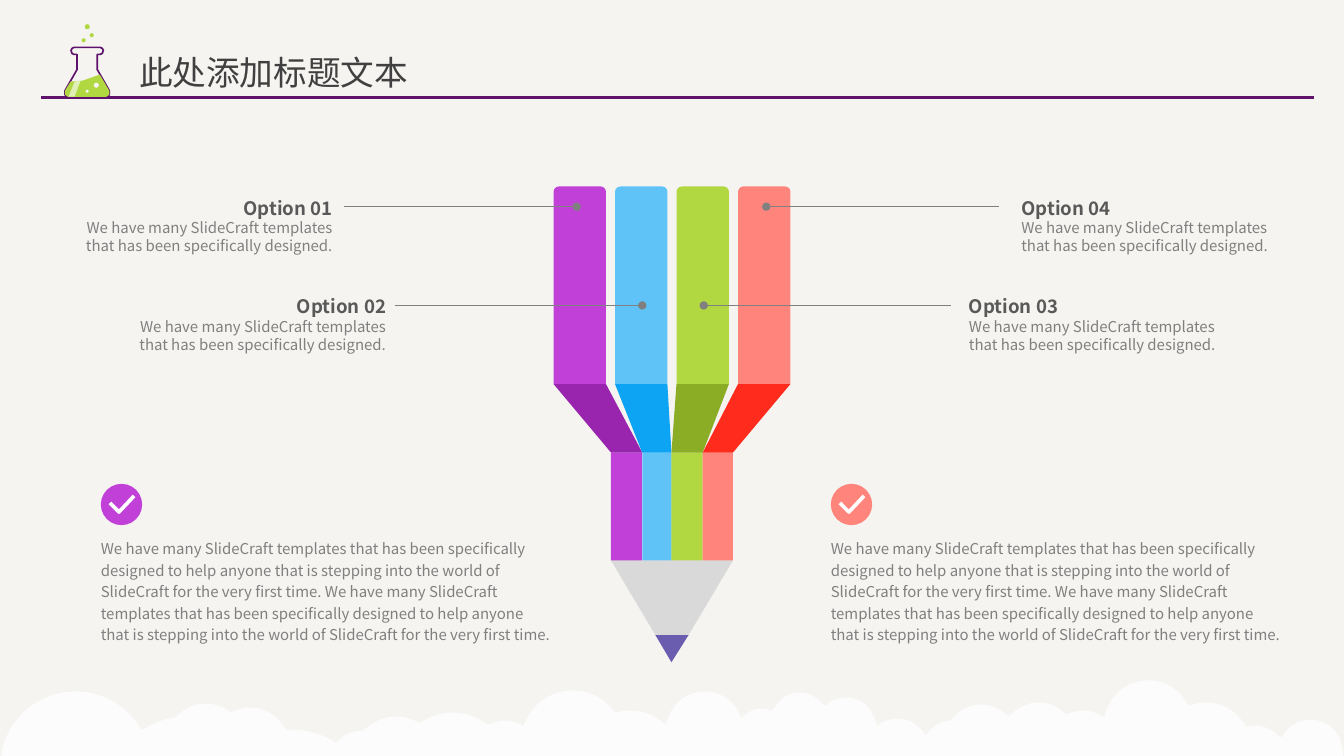
from dataclasses import dataclass
from math import sqrt
from typing import Any, Optional

from lxml import etree
from pptx import Presentation
from pptx.dml.color import RGBColor
from pptx.enum.shapes import MSO_CONNECTOR, MSO_SHAPE
from pptx.enum.text import MSO_ANCHOR, MSO_AUTO_SIZE, PP_ALIGN
from pptx.oxml.ns import qn
from pptx.util import Pt

STRAIGHT = MSO_CONNECTOR.STRAIGHT
OVAL, STRIP = MSO_SHAPE.OVAL, MSO_SHAPE.ROUND_2_SAME_RECTANGLE
LEFT, RIGHT = PP_ALIGN.LEFT, PP_ALIGN.RIGHT
TOP, MIDDLE = MSO_ANCHOR.TOP, MSO_ANCHOR.MIDDLE
NO_AUTOSIZE = MSO_AUTO_SIZE.NONE

PX = 9144  # EMU in one px, 100 px to the inch
WIDTH, HEIGHT = 1333, 750
FONT = "Noto Sans CJK SC"
PAPER, WHITE, PLUM, GREY = "F5F4F1", "FFFFFF", "5E126B", "808080"
PURPLE, BLUE, GREEN, CORAL = "C140D8", "5FC3F8", "B1D741", "FF847B"

OPTION_TEXT = "We have many SlideCraft templates that has been specifically designed."
SENTENCE = ("We have many SlideCraft templates that has been specifically designed to help "
            "anyone that is stepping into the world of SlideCraft for the very first time.")


@dataclass
class Colouring:
    main: str
    dark: str


@dataclass
class Option:
    title: str
    left: int
    top: int
    align: Any
    line_left: int
    line_right: int
    dot: str


@dataclass
class Note:
    left: int
    colour: str


@dataclass
class Bubble:
    left: int
    top: int
    size: int
    colour: str


@dataclass
class Puff:
    middle: int
    top: int
    radius: int


PENCIL = [Colouring(PURPLE, "9924AE"), Colouring(BLUE, "0DA4F4"),
          Colouring(GREEN, "8BAD25"), Colouring(CORAL, "FF2C1D")]
OPTIONS = [Option("Option 01", 68, 195, RIGHT, 341, 572, "tailEnd"),
           Option("Option 02", 121, 293, RIGHT, 392, 637, "tailEnd"),
           Option("Option 04", 1013, 195, LEFT, 760, 991, "headEnd"),
           Option("Option 03", 961, 293, LEFT, 698, 943, "headEnd")]
NOTES = [Note(100, PURPLE), Note(824, CORAL)]
BUBBLES = [Bubble(85, 89, 3, PAPER), Bubble(93, 82, 5, PAPER), Bubble(81, 38, 4, GREEN),
           Bubble(89, 33, 4, GREEN), Bubble(84, 24, 5, GREEN)]
PUFFS = [Puff(75, 686, 75), Puff(185, 711, 80), Puff(204, 698, 39), Puff(248, 702, 39),
         Puff(290, 724, 78), Puff(359, 725, 34), Puff(393, 711, 44), Puff(449, 707, 56),
         Puff(501, 715, 35), Puff(568, 685, 51), Puff(625, 705, 51), Puff(699, 686, 38),
         Puff(755, 703, 23), Puff(793, 687, 28), Puff(839, 692, 30), Puff(890, 713, 32),
         Puff(943, 715, 27), Puff(973, 699, 36), Puff(1030, 697, 37), Puff(1074, 705, 36),
         Puff(1139, 675, 44), Puff(1196, 697, 45), Puff(1245, 720, 31), Puff(1300, 714, 32)]

# Flask: half widths from its axis, downwards
FLASK_AXIS = 86.5
NECK = [(13, 47), (15, 48), (16, 50), (15, 53), (13, 54), (10, 54), (10, 69)]
BASE = [(22, 90), (22, 94), (19, 96)]


def rgb(colour: str) -> RGBColor:
    return RGBColor.from_string(colour)


def paint(shape: Any, colour: str) -> Any:
    shape.shadow.inherit = False
    shape.fill.solid()
    shape.fill.fore_color.rgb = rgb(colour)
    shape.line.fill.background()
    return shape


def outline_shape(shape: Any, colour: str, points: float) -> None:
    shape.line.color.rgb = rgb(colour)
    shape.line.width = Pt(points)


def draw_outline(shapes: Any, outline: list, colour: str, close: bool = True) -> Any:
    start, *rest = [(round(x * PX), round(y * PX)) for x, y in outline]
    builder = shapes.build_freeform(*start)
    builder.add_line_segments(rest, close=close)
    return paint(builder.convert_to_shape(), colour)


def draw_preset(shapes: Any, kind: Any, left: int, top: int, width: int, height: int,
                colour: str) -> Any:
    return paint(shapes.add_shape(kind, left * PX, top * PX, width * PX, height * PX), colour)


def draw_line(shapes: Any, left: int, right: int, y: int, colour: str, points: float,
              dot: Optional[str] = None) -> None:
    line = shapes.add_connector(STRAIGHT, left * PX, y * PX, right * PX, y * PX)
    outline_shape(line, colour, points)
    if dot:
        etree.SubElement(line.line._get_or_add_ln(), qn(f"a:{dot}"), type="oval")
    etree.SubElement(line._element.spPr, qn("a:effectLst"))


def style(paragraph: Any, size: float, colour: str, bold: bool = False, align: Any = LEFT) -> None:
    paragraph.alignment = align
    font = paragraph.font
    font.size, font.bold, font.name = Pt(size), bold, FONT
    font.color.rgb = rgb(colour)
    defaults = paragraph._p.pPr.find(qn("a:defRPr"))
    etree.SubElement(defaults, qn("a:ea"), typeface=FONT)


def add_text(shapes: Any, left: int, top: int, width: int, height: int) -> Any:
    frame = shapes.add_textbox(left * PX, top * PX, width * PX, height * PX).text_frame
    frame.margin_left = frame.margin_right = frame.margin_top = frame.margin_bottom = 0
    frame.word_wrap, frame.vertical_anchor = True, TOP
    return frame


def cloud_top(x: int) -> float:
    return min((puff.top + puff.radius - sqrt(puff.radius ** 2 - (x - puff.middle) ** 2)
                for puff in PUFFS if abs(x - puff.middle) <= puff.radius), default=HEIGHT)


def draw_clouds(shapes: Any) -> None:
    skyline = [(x, cloud_top(x)) for x in range(0, WIDTH, 3)]
    clouds = draw_outline(shapes, [(0, HEIGHT), *skyline, (skyline[-1][0], HEIGHT)], WHITE)
    white = clouds._element.spPr.find(f"{qn('a:solidFill')}/{qn('a:srgbClr')}")
    etree.SubElement(white, qn("a:alpha"), val="80000")


def draw_pencil(shapes: Any) -> None:
    edges = (606, 637, 666, 697, 727)
    for i, colouring in enumerate(PENCIL):
        left, (near, far) = 549 + 61 * i, edges[i:i + 2]
        strip = draw_preset(shapes, STRIP, left, 185, 52, 196, colouring.main)
        strip.adjustments[0] = 0.1
        draw_outline(shapes, [(near, 449), (far, 449), (far, 556), ((near + far) / 2, 571),
                              (near, 556)], colouring.main)
        draw_outline(shapes, [(left, 381), (left + 52, 381), (far, 449), (near, 449)],
                     colouring.dark)
    draw_outline(shapes, [(606, 556), (727, 556), (683, 630), (650, 630)], "D9D9D9")
    draw_outline(shapes, [(650, 630), (683, 630), (666, 657)], "6A5DB0")


def draw_option(shapes: Any, option: Option) -> None:
    frame = add_text(shapes, option.left, option.top, 262, 58)
    frame.text = f"{option.title}\n{OPTION_TEXT}"
    heading, body = frame.paragraphs
    style(heading, 13.3, "595959", True, option.align)
    style(body, 10.7, GREY, align=option.align)
    draw_line(shapes, option.line_left, option.line_right, option.top + 10, GREY, 0.5, option.dot)


def draw_note(shapes: Any, note: Note) -> None:
    badge = shapes.add_group_shape().shapes
    draw_preset(badge, OVAL, note.left, 480, 41, 41, note.colour)
    tick = draw_outline(badge, [(note.left + 9, 499), (note.left + 18, 508),
                                (note.left + 33, 492)], WHITE, close=False)
    tick.fill.background()
    outline_shape(tick, WHITE, 2.63)
    frame = add_text(shapes, note.left, 532, 451, 108)
    frame.text = f"{SENTENCE} {SENTENCE}"
    frame.paragraphs[0].line_spacing = 1.2
    style(frame.paragraphs[0], 10.7, GREY)


def mirrored(half: list) -> list:
    return ([(FLASK_AXIS + x, y) for x, y in half]
            + [(FLASK_AXIS - x, y) for x, y in reversed(half)])


def draw_flask(shapes: Any) -> None:
    glass = draw_outline(shapes, mirrored(NECK + BASE), PAPER)
    outline_shape(glass, PLUM, 1.2)
    surface = [(70, 81), (82, 80), (99, 74)]
    draw_outline(shapes, surface + mirrored(BASE), GREEN)
    draw_outline(shapes, [(68, 96), (74, 96), (80, 80), (74, 81)], "E0EFB3")
    for bubble in BUBBLES:
        draw_preset(shapes, OVAL, bubble.left, bubble.top, bubble.size, bubble.size, bubble.colour)


def main() -> None:
    deck = Presentation()
    deck.slide_width, deck.slide_height = WIDTH * PX, HEIGHT * PX
    slide = deck.slides.add_slide(deck.slide_layouts[5])
    shapes = slide.shapes
    slide.background.fill.solid()
    slide.background.fill.fore_color.rgb = rgb(PAPER)

    # Clouds, pencil, options and notes
    draw_clouds(shapes)
    draw_pencil(shapes.add_group_shape().shapes)
    for option in OPTIONS:
        draw_option(shapes, option)
    for note in NOTES:
        draw_note(shapes, note)

    # Title with its rule and flask
    title = shapes.title
    title.left, title.top, title.width, title.height = 128 * PX, 46 * PX, 289 * PX, 50 * PX
    frame = title.text_frame
    frame.text = "此处添加标题文本"
    frame.word_wrap, frame.auto_size, frame.vertical_anchor = False, NO_AUTOSIZE, MIDDLE
    style(frame.paragraphs[0], 24, "404040")
    draw_line(shapes, 41, 1303, 97, PLUM, 2)
    draw_flask(shapes.add_group_shape().shapes)

    deck.save("out.pptx")


if __name__ == "__main__":
    main()
